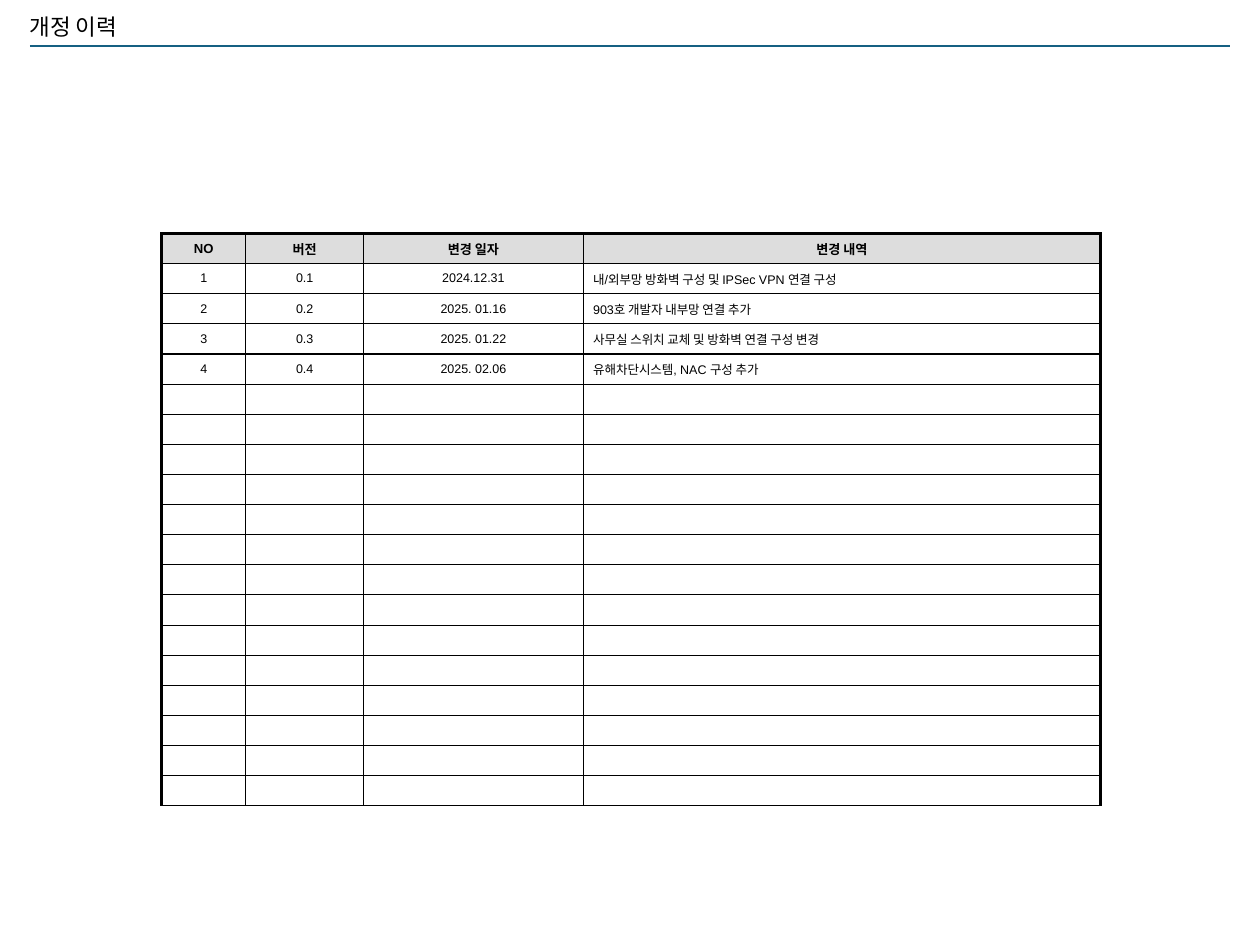
"""Build the revision history slide."""
import pptx
import pptx.util
import pptx.dml.color
import pptx.enum.shapes
import pptx.enum.text
import lxml.etree

Cm, Pt = pptx.util.Cm, pptx.util.Pt
Align, Anchor = pptx.enum.text.PP_ALIGN, pptx.enum.text.MSO_ANCHOR
NS = "http://schemas.openxmlformats.org/drawingml/2006/main"

TITLE = "개정 이력"
HEAD = ("NO", "버전", "변경 일자", "변경 내역")
ITEMS = [
    ("1", "0.1", "2024.12.31", "내/외부망 방화벽 구성 및 IPSec VPN 연결 구성"),
    ("2", "0.2", "2025. 01.16", "903호 개발자 내부망 연결 추가"),
    ("3", "0.3", "2025. 01.22", "사무실 스위치 교체 및 방화벽 연결 구성 변경"),
    ("4", "0.4", "2025. 02.06", "유해차단시스템, NAC 구성 추가"),
]
BLANKS = 14
WIDTHS = (2.38, 3.32, 6.2, 14.6)
HEIGHT = 0.85
THIN, THICK = 1, 2.25
BLACK, GREY, TEAL = "000000", "DDDDDD", "156082"


def color(code):
    return pptx.dml.color.RGBColor.from_string(code)


def style(par, size, bold=False):
    for run in par.runs:
        run.font.name = "Arial"
        run.font.size = Pt(size)
        run.font.bold = bold
        run.font.color.rgb = color(BLACK)


def edge(cell, side, width):
    props = cell._tc.get_or_add_tcPr()
    line = lxml.etree.SubElement(props, f"{{{NS}}}ln{side}", w=str(Pt(width)))
    fill = lxml.etree.SubElement(line, f"{{{NS}}}solidFill")
    lxml.etree.SubElement(fill, f"{{{NS}}}srgbClr", val=BLACK)


def add_title(slide):
    title = slide.shapes.title
    title.left, title.top = Cm(0.58), Cm(0.25)
    title.width, title.height = Cm(13.28), Cm(1.02)
    frame = title.text_frame
    frame.text = TITLE
    frame.word_wrap = True
    frame.vertical_anchor = Anchor.TOP
    frame.paragraphs[0].alignment = Align.LEFT
    style(frame.paragraphs[0], 18)


def add_rule(slide):
    kind = pptx.enum.shapes.MSO_CONNECTOR.STRAIGHT
    rule = slide.shapes.add_connector(kind, Cm(0.84), Cm(1.3), Cm(34.72), Cm(1.3))
    rule.line.color.rgb = color(TEAL)
    rule.line.width = Pt(1.5)
    lxml.etree.SubElement(rule._element.spPr, f"{{{NS}}}effectLst")


def fill_cell(cell, text, row, col):
    cell.margin_left = cell.margin_right = Cm(0.28)
    cell.margin_top = cell.margin_bottom = Cm(0.13)
    cell.vertical_anchor = Anchor.MIDDLE
    edge(cell, "L", THICK if col == 0 else THIN)
    edge(cell, "R", THICK if col == len(HEAD) - 1 else THIN)
    edge(cell, "T", THICK if row == 0 else THIN)
    edge(cell, "B", THIN)
    if row == 0:
        cell.fill.solid()
        cell.fill.fore_color.rgb = color(GREY)
    else:
        cell.fill.background()
    par = cell.text_frame.paragraphs[0]
    if not text:
        par._p.get_or_add_endParaRPr().set("sz", "1000")
        return
    par.text = text
    par.alignment = Align.LEFT if row and col == len(HEAD) - 1 else Align.CENTER
    style(par, 10 if row else 10.5, row == 0)


def add_log(slide):
    rows = [HEAD, *ITEMS] + [("",) * len(HEAD)] * BLANKS
    table = slide.shapes.add_table(
        len(rows), len(HEAD), Cm(4.56), Cm(6.59),
        Cm(sum(WIDTHS)), Cm(HEIGHT * len(rows))).table
    table.horz_banding = False
    for col, width in zip(table.columns, WIDTHS):
        col.width = Cm(width)
    for r, texts in enumerate(rows):
        table.rows[r].height = Cm(HEIGHT)
        for c, text in enumerate(texts):
            fill_cell(table.cell(r, c), text, r, c)


def main():
    deck = pptx.Presentation()
    deck.slide_width, deck.slide_height = Cm(35.56), Cm(26.67)
    slide = deck.slides.add_slide(deck.slide_layouts[5])
    add_log(slide)
    add_rule(slide)
    add_title(slide)
    deck.save("out.pptx")


if __name__ == "__main__":
    main()
